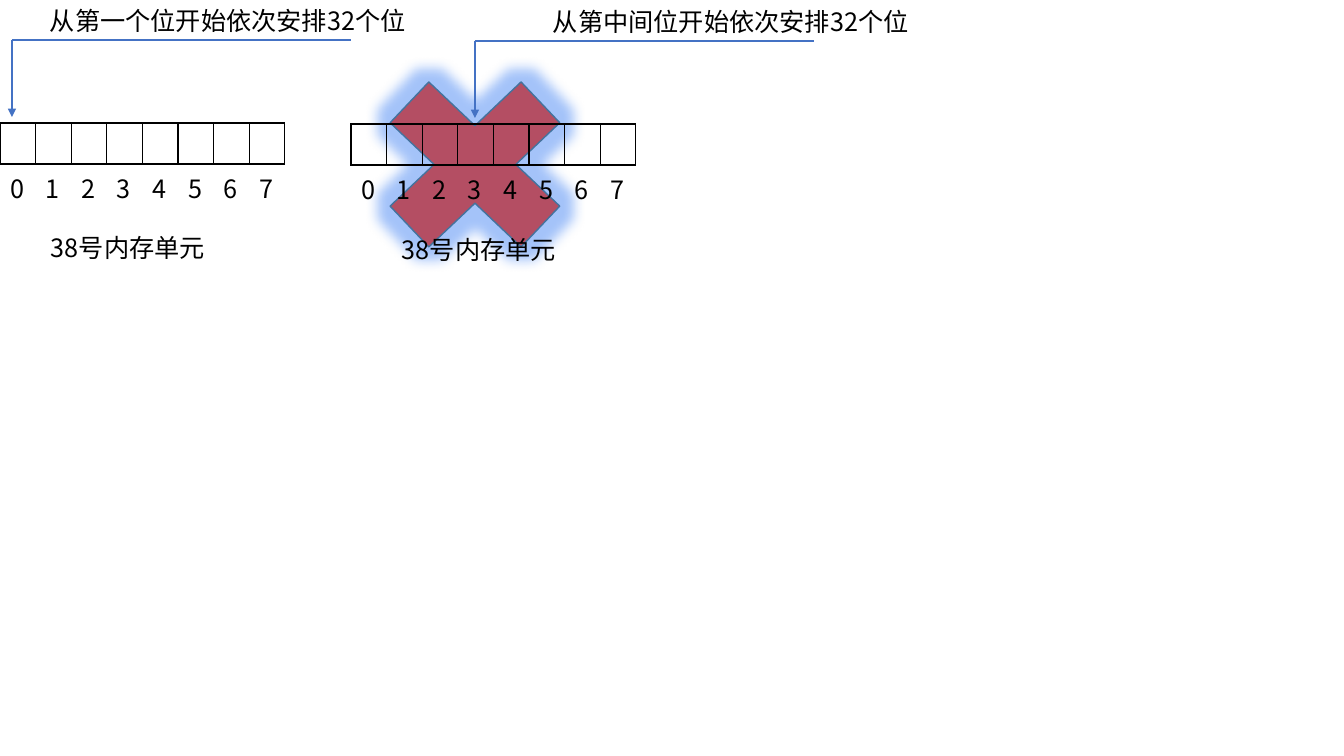
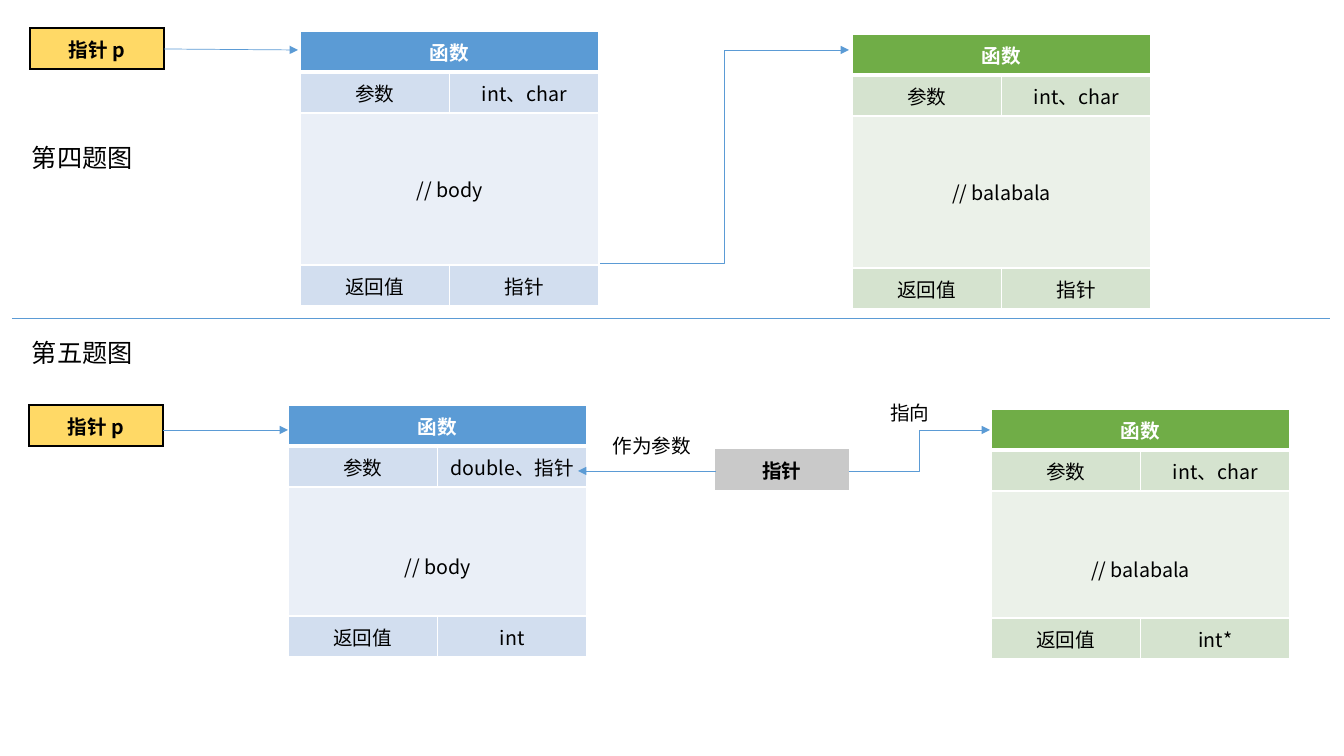
from lxml import etree
from pptx import Presentation
from pptx.dml.color import RGBColor
from pptx.enum.shapes import MSO_CONNECTOR, MSO_SHAPE
from pptx.enum.text import MSO_ANCHOR, MSO_AUTO_SIZE, PP_ALIGN
from pptx.oxml.ns import qn
from pptx.util import Emu, Pt

STRAIGHT, ELBOW = MSO_CONNECTOR.STRAIGHT, MSO_CONNECTOR.ELBOW
CROSS = MSO_SHAPE.MATH_MULTIPLY
MIDDLE = MSO_ANCHOR.MIDDLE
GROW = MSO_AUTO_SIZE.SHAPE_TO_FIT_TEXT
LEFT, CENTER = PP_ALIGN.LEFT, PP_ALIGN.CENTER

BLACK = RGBColor(0x00, 0x00, 0x00)
WHITE = RGBColor(0xFF, 0xFF, 0xFF)
RED = RGBColor(0xC0, 0x00, 0x00)
CROSS_EDGE = RGBColor(0x43, 0x73, 0x9E)
GLOW = RGBColor(0x1C, 0x6A, 0xF2)
ARROW_BLUE = RGBColor(0x44, 0x72, 0xC4)
LINK_BLUE = RGBColor(0x5B, 0x9B, 0xD5)
YELLOW = RGBColor(0xFF, 0xD9, 0x66)
GRAY = RGBColor(0xC9, 0xC9, 0xC9)
BLUES = (LINK_BLUE, RGBColor(0xD2, 0xDE, 0xEF), RGBColor(0xEA, 0xEF, 0xF7))
GREENS = (RGBColor(0x70, 0xAD, 0x47), RGBColor(0xD5, 0xE3, 0xCF), RGBColor(0xEB, 0xF1, 0xE9))

FONT = "Noto Sans CJK SC"
LARGE = {"name": FONT, "size": Pt(18), "bold": False}
SMALL = {"name": FONT, "size": Pt(14), "bold": False}
STRONG = {**SMALL, "bold": True}
SIDES = "LRTB"
ROW = 41
BITS = 8


def px(length):
    """Turn pixels into EMU."""
    return Emu(round(length * 914400 / 100.8))


def write(frame, text, style, color=BLACK, align=LEFT):
    """Fill a text frame with one formatted run."""
    paragraph = frame.paragraphs[0]
    paragraph.alignment = align
    run = paragraph.add_run()
    run.text = text
    for key, value in style.items():
        setattr(run.font, key, value)
    run.font.color.rgb = color
    etree.SubElement(run.font._element, qn("a:ea"), typeface=FONT)


def label(slide, box, text, style=LARGE, align=LEFT):
    """Add a text box."""
    frame = slide.shapes.add_textbox(*map(px, box)).text_frame
    frame.word_wrap = True
    frame.auto_size = GROW
    write(frame, text, style, align=align)


def link(slide, start, end, color=LINK_BLUE, width=0.5, kind=STRAIGHT, arrow=True):
    """Join two points with a line, with an arrowhead at its end if wanted."""
    line = slide.shapes.add_connector(kind, *map(px, (*start, *end)))
    line.line.color.rgb = color
    line.line.width = Pt(width)
    if arrow:
        etree.SubElement(line.line._get_or_add_ln(), qn("a:tailEnd"), type="triangle")
    etree.SubElement(line._element.spPr, qn("a:effectLst"))


def paint(cell, fill, borders):
    """Set the borders of a cell, given by side, and its fill."""
    properties = cell._tc.get_or_add_tcPr()
    for side in SIDES:
        color, width = borders.get(side, (None, 0))
        edge = etree.SubElement(properties, qn("a:ln" + side), w=str(Pt(width)))
        if color is None:
            etree.SubElement(edge, qn("a:noFill"))
        else:
            solid = etree.SubElement(edge, qn("a:solidFill"))
            etree.SubElement(solid, qn("a:srgbClr"), val=str(color))
    if fill is None:
        cell.fill.background()
    else:
        cell.fill.solid()
        cell.fill.fore_color.rgb = fill
    cell.vertical_anchor = MIDDLE


def grid(slide, box, heights, columns):
    """Add an unbanded table with equal columns and the given row heights."""
    table = slide.shapes.add_table(len(heights), columns, *map(px, box)).table
    table.first_row = table.horz_banding = False
    for row, height in zip(table.rows, heights):
        row.height = px(height)
    for column in table.columns:
        column.width = px(box[2] / columns)
    return table


def wrong_mark(slide, box):
    """Draw the glowing red cross behind the wrong layout."""
    cross = slide.shapes.add_shape(CROSS, *map(px, box))
    cross.shadow.inherit = False
    cross.fill.solid()
    cross.fill.fore_color.rgb = RED
    cross.line.color.rgb = CROSS_EDGE
    cross.line.width = Pt(1)
    red = cross._element.spPr.find(qn("a:solidFill"))[0]
    etree.SubElement(red, qn("a:alpha"), val="60000")
    effects = cross._element.spPr.find(qn("a:effectLst"))
    glow = etree.SubElement(effects, qn("a:glow"), rad=str(Pt(18)))
    tint = etree.SubElement(glow, qn("a:srgbClr"), val=str(GLOW))
    etree.SubElement(tint, qn("a:alpha"), val="40000")


def memory_unit(slide, box, heading, heading_x, start_x):
    """Draw a memory unit of eight bits with its start arrow and labels."""
    left, top, width, height = box
    bits = grid(slide, (left, top + 123, width, 2 * ROW), (ROW, ROW), BITS)
    edge = (BLACK, 1)
    for bit in range(BITS):
        paint(bits.cell(0, bit), None, dict.fromkeys(SIDES, edge))
        paint(bits.cell(1, bit), None, {"T": edge})
        write(bits.cell(1, bit).text_frame, str(bit), LARGE)
    label(slide, (left + 41, top + height - 40, 206, 40), "38号内存单元")
    corner = (left + start_x, top + 40)
    link(slide, corner, (corner[0], top + 117), ARROW_BLUE, 1.5)
    link(slide, corner, (corner[0] + 339, corner[1]), ARROW_BLUE, 1.5, arrow=False)
    label(slide, (left + heading_x, top, 422, 40), heading)


def pointer(slide, box, text, fill, borders):
    """Draw a pointer as a one-cell table."""
    cell = grid(slide, box, box[3:], 1).cell(0, 0)
    paint(cell, fill, borders)
    write(cell.text_frame, text, STRONG, align=CENTER)


def function_table(slide, box, colors, parameters, body, result, drop=0):
    """Draw a function with its parameters, body and return value."""
    dark, middle, light = colors
    table = grid(slide, box, (ROW, ROW, box[3] - 3 * ROW, ROW), 2)
    rows = (
        (("函数",), dark, STRONG, WHITE),
        (("参数", parameters), middle, SMALL, BLACK),
        ((body,), light, SMALL, BLACK),
        (("返回值", result), middle, SMALL, BLACK),
    )
    for index, (texts, fill, style, color) in enumerate(rows):
        borders = dict.fromkeys(SIDES, (WHITE, 1))
        if index < 2:
            borders["B" if index == 0 else "T"] = (WHITE, 3)
        for column in range(2):
            paint(table.cell(index, column), fill, borders)
        if len(texts) == 1:
            table.cell(index, 0).merge(table.cell(index, 1))
        for column, text in enumerate(texts):
            write(table.cell(index, column).text_frame, text, style, color, CENTER)
    table.cell(2, 0).margin_top = px(5 + drop)


def memory_slide(slide):
    """Compare a right and a wrong start of 32 bits in memory."""
    wrong_mark(slide, (349, 45, 252, 239))
    memory_unit(slide, (0, 0, 285, 267), "从第一个位开始依次安排32个位", 40, 12)
    memory_unit(slide, (351, 1, 285, 268), "从第中间位开始依次安排32个位", 192, 124)


def return_pointer(slide, box):
    """Show a function that returns a pointer to a function."""
    left, top, width, height = box
    outline = dict.fromkeys(SIDES, (BLACK, 1))
    pointer(slide, (left + 30, top + 28, 134, ROW), "指针 p", YELLOW, outline)
    function_table(slide, (left + 300, top + 31, 299, 275), BLUES, "int、char", "// body", "指针")
    function_table(slide, (left + 852, top + 34, 299, 275), GREENS, "int、char", "// balabala", "指针")
    link(slide, (left + 164, top + 49), (left + 298, top + 50))
    link(slide, (left + 600, top + 263), (left + 849, top + 50), kind=ELBOW)
    label(slide, (left + 22, top + 137, 220, 40), "第四题图")
    link(slide, (left + 12, top + height), (left + width - 14, top + height), arrow=False)


def parameter_pointer(slide, box):
    """Show a function that takes a pointer to a function as parameter."""
    left, top = box[:2]
    outline = dict.fromkeys(SIDES, (BLACK, 1))
    label(slide, (left + 22, top + 14, 220, 40), "第五题图")
    pointer(slide, (left + 29, top + 87, 134, ROW), "指针 p", YELLOW, outline)
    function_table(slide, (left + 288, top + 87, 299, 252), BLUES, "double、指针", "// body", "int", 28)
    function_table(slide, (left + 991, top + 91, 299, 250), GREENS, "int、char", "// balabala", "int*", 28)
    pointer(slide, (left + 715, top + 131, 134, ROW), "指针", GRAY, {})
    link(slide, (left + 163, top + 112), (left + 288, top + 112))
    link(slide, (left + 716, top + 153), (left + 578, top + 153))
    link(slide, (left + 849, top + 153), (left + 990, top + 112), kind=ELBOW)
    label(slide, (left + 601, top + 111, 102, 34), "作为参数", SMALL, CENTER)
    label(slide, (left + 859, top + 78, 102, 34), "指向", SMALL, CENTER)


def main():
    """Build and save the deck."""
    deck = Presentation()
    deck.slide_width, deck.slide_height = px(1344), px(756)
    blank = deck.slide_layouts[6]
    memory_slide(deck.slides.add_slide(blank))
    functions = deck.slides.add_slide(blank)
    return_pointer(functions, (0, 0, 1344, 318))
    parameter_pointer(functions, (0, 318, 1344, 438))
    deck.save("out.pptx")


main()
